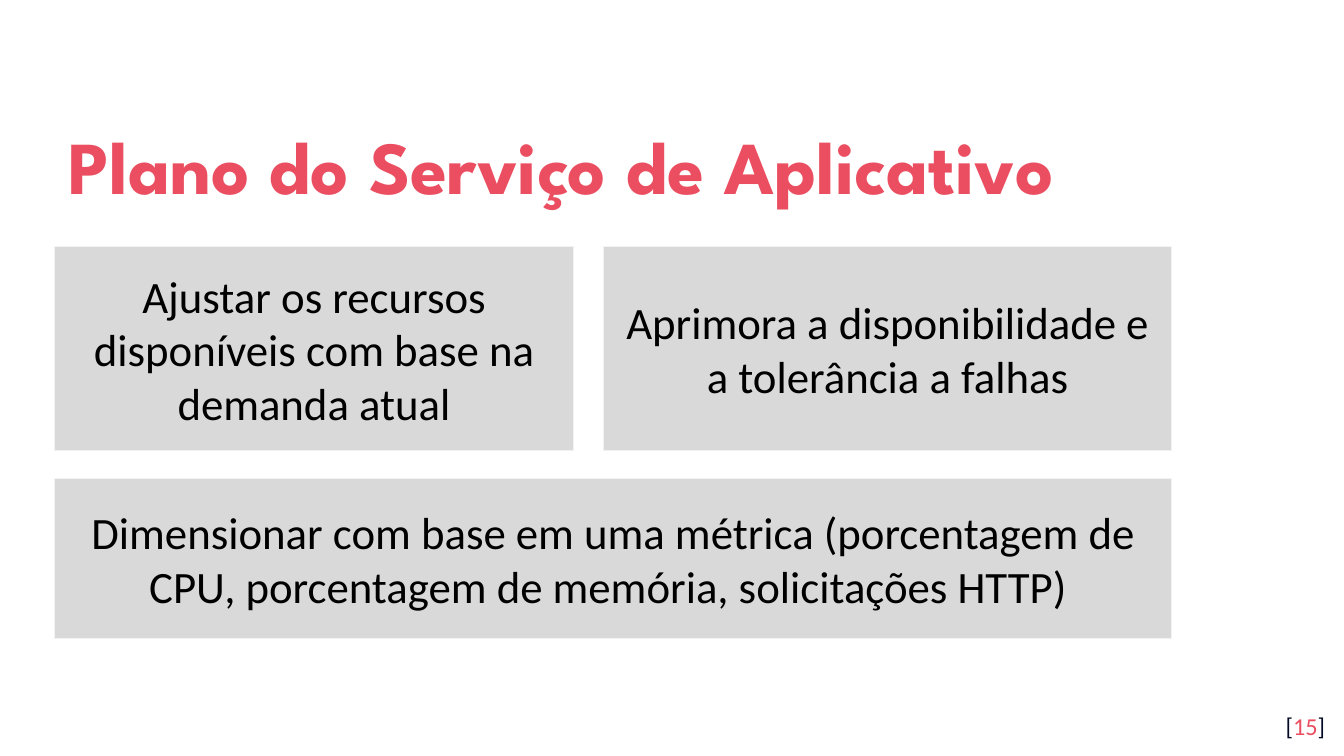
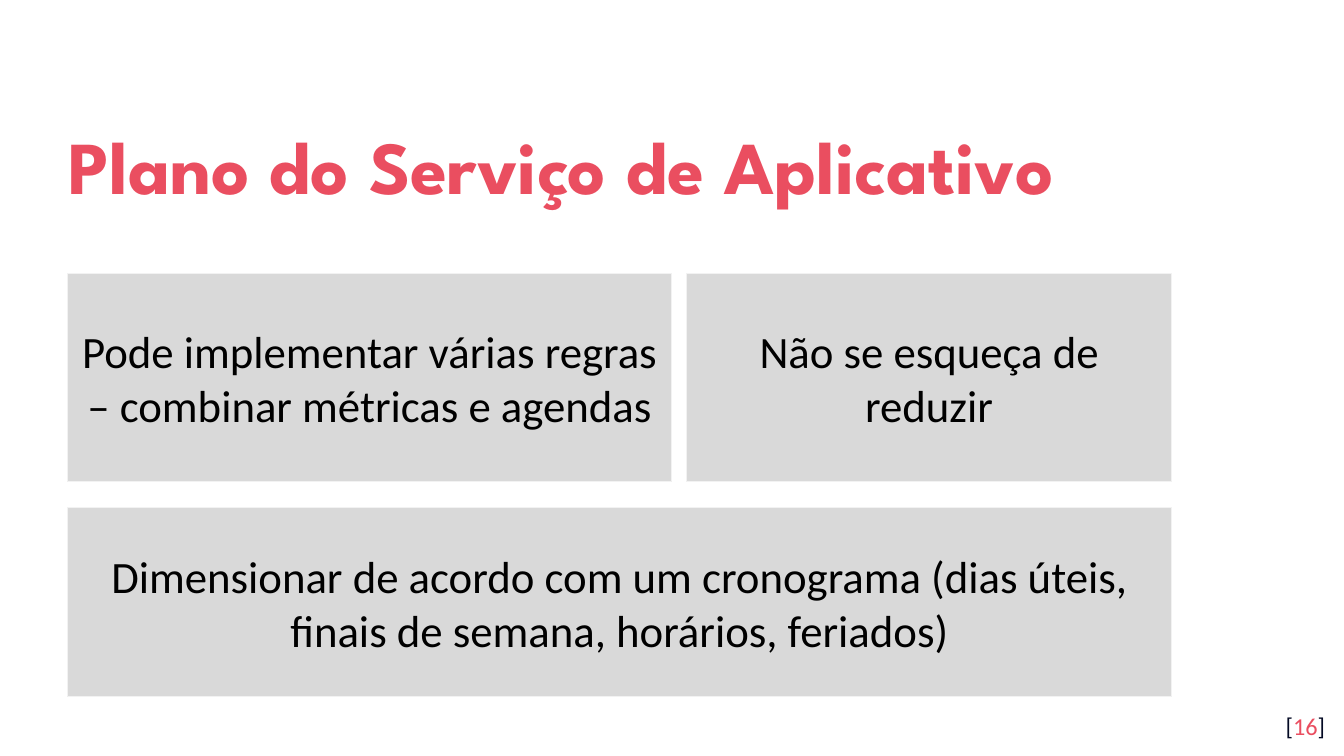
from dataclasses import dataclass

from pptx import Presentation
from pptx import util as u
from pptx.dml.color import RGBColor
from pptx.enum import shapes, text
from pptx.slide import Slide
from pptx.text.text import TextFrame, _Paragraph

COLORS = {
    "accent": "EA4E60",
    "ink": "040A24",
    "body": "000000",
    "card": "D9D9D9",
    "edge": "F2F2F2",
}
WIDTH = u.Inches(10)
HEIGHT = WIDTH * 9 // 16
TITLE = "Plano do Serviço de Aplicativo"
BODY_FONT, TITLE_FONT = "Calibri", "League Spartan"
RIGHT_EDGE = 87.17


@dataclass(frozen=True)
class Area:
    """Rectangle in hundredths of the slide's width and height."""

    left: float
    top: float
    width: float
    height: float

    def emu(self) -> tuple[int, int, int, int]:
        """Return left, top, width and height in EMU."""
        return (
            round(self.left * WIDTH / 100),
            round(self.top * HEIGHT / 100),
            round(self.width * WIDTH / 100),
            round(self.height * HEIGHT / 100),
        )


@dataclass(frozen=True)
class CardGrid:
    """Two cards side by side above one card that spans both."""

    left: float
    top: float
    first_width: float
    column_gap: float
    upper_height: float
    row_gap: float
    lower_height: float

    def areas(self) -> tuple[Area, Area, Area]:
        """Return the upper left, upper right and lower areas."""
        second_left = self.left + self.first_width + self.column_gap
        lower_top = self.top + self.upper_height + self.row_gap
        return (
            Area(self.left, self.top, self.first_width, self.upper_height),
            Area(second_left, self.top, RIGHT_EDGE - second_left, self.upper_height),
            Area(self.left, lower_top, RIGHT_EDGE - self.left, self.lower_height),
        )


@dataclass(frozen=True)
class Page:
    """Number, card grid and card sentences of one slide."""

    number: int
    grid: CardGrid
    sentences: tuple[str, str, str]


TITLE_AREA = Area(4.1, 12.66, 92.5, 16.36)
NUMBER_AREA = Area(93.57, 92.31, 6, 7.7)
PAGES = (
    Page(
        15,
        CardGrid(4.07, 32.65, 38.6, 2.23, 27.02, 3.6, 21.16),
        (
            "Ajustar os recursos disponíveis com base na demanda atual",
            "Aprimora a disponibilidade e a tolerância a falhas",
            "Dimensionar com base em uma métrica (porcentagem de CPU, "
            "porcentagem de memória, solicitações HTTP) ",
        ),
    ),
    Page(
        16,
        CardGrid(5, 36.22, 45, 1.1, 27.55, 3.42, 25),
        (
            "Pode implementar várias regras – combinar métricas e agendas",
            "Não se esqueça de reduzir",
            "Dimensionar de acordo com um cronograma (dias úteis, "
            "finais de semana, horários, feriados)",
        ),
    ),
)


def color(name: str) -> RGBColor:
    """Look up a named colour."""
    return RGBColor.from_string(COLORS[name])


def add_run(line: _Paragraph, words: str, size: float, ink: str,
            font: str = BODY_FONT, bold: bool = False) -> None:
    """Append one formatted run to a paragraph."""
    run = line.add_run()
    run.text = words
    run.font.size = u.Pt(size)
    run.font.name = font
    run.font.bold = bold
    run.font.color.rgb = color(ink)


def set_frame(frame: TextFrame, anchor: text.MSO_ANCHOR, align: text.PP_ALIGN,
              vertical_inset: float = 0.1) -> _Paragraph:
    """Set wrapping, insets and alignment, and return the first paragraph."""
    frame.word_wrap = True
    frame.auto_size = text.MSO_AUTO_SIZE.NONE
    frame.vertical_anchor = anchor
    frame.margin_left = frame.margin_right = u.Inches(0.1)
    frame.margin_top = frame.margin_bottom = u.Inches(vertical_inset)
    line = frame.paragraphs[0]
    line.alignment = align
    return line


def set_title(slide: Slide) -> None:
    """Place and format the title placeholder."""
    title = slide.shapes.title
    title.left, title.top, title.width, title.height = TITLE_AREA.emu()
    line = set_frame(title.text_frame, text.MSO_ANCHOR.MIDDLE, text.PP_ALIGN.LEFT)
    line.line_spacing = 1.15
    add_run(line, TITLE, 40, "accent", TITLE_FONT, bold=True)


def add_page_number(slide: Slide, number: int) -> None:
    """Write the bracketed page number in the lower right corner."""
    footer = slide.shapes.add_textbox(*NUMBER_AREA.emu())
    line = set_frame(footer.text_frame, text.MSO_ANCHOR.TOP, text.PP_ALIGN.RIGHT)
    for words, ink in (("[", "ink"), (str(number), "accent"), ("]", "ink")):
        add_run(line, words, 13, ink)


def add_card(slide: Slide, area: Area, sentence: str) -> None:
    """Draw one grey card with a centred sentence."""
    card = slide.shapes.add_shape(shapes.MSO_SHAPE.RECTANGLE, *area.emu())
    card.shadow.inherit = False
    card.fill.solid()
    card.fill.fore_color.rgb = color("card")
    card.line.color.rgb = color("edge")
    card.line.width = u.Pt(0.5)
    line = set_frame(card.text_frame, text.MSO_ANCHOR.MIDDLE,
                     text.PP_ALIGN.CENTER, vertical_inset=0.05)
    add_run(line, sentence, 24, "body")


def main() -> None:
    """Build and save the presentation."""
    deck = Presentation()
    deck.slide_width, deck.slide_height = WIDTH, HEIGHT
    title_only = deck.slide_layouts.get_by_name("Title Only")
    for page in PAGES:
        slide = deck.slides.add_slide(title_only)
        set_title(slide)
        add_page_number(slide, page.number)
        for area, sentence in zip(page.grid.areas(), page.sentences):
            add_card(slide, area, sentence)
    deck.save("out.pptx")


if __name__ == "__main__":
    main()
